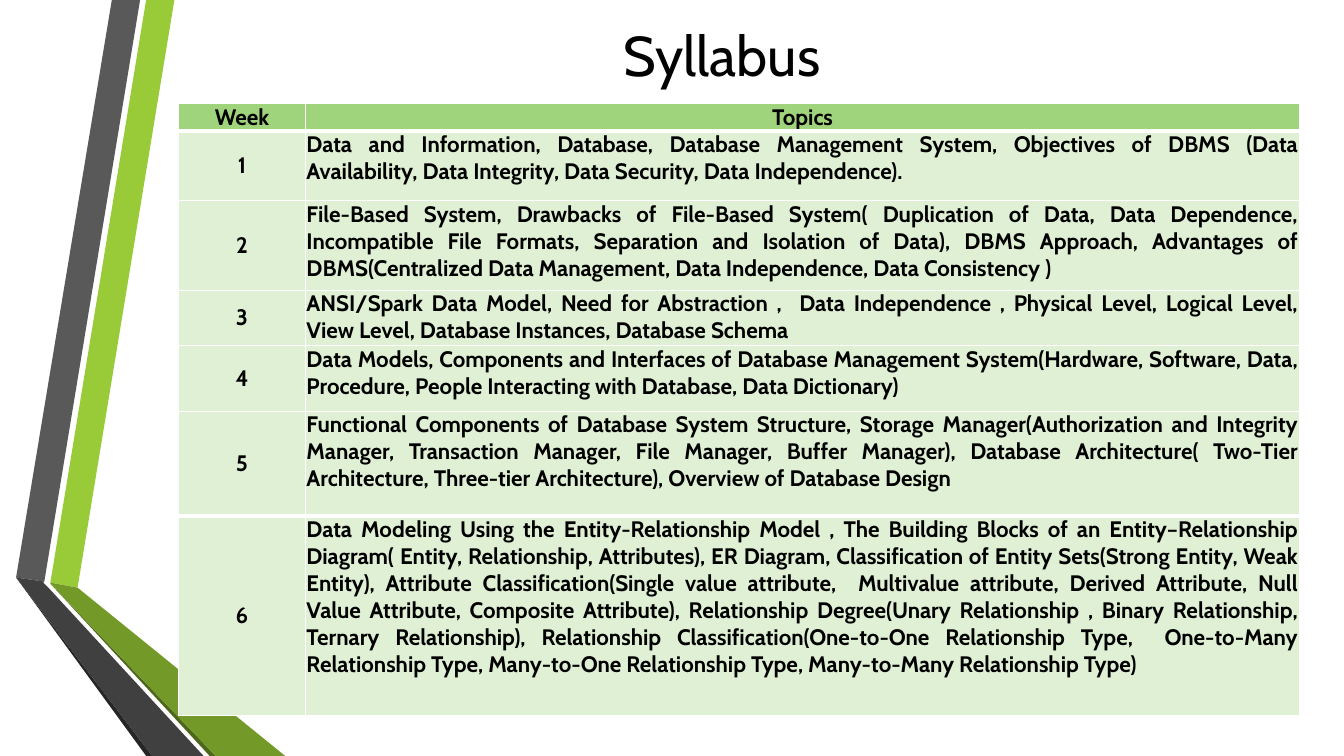
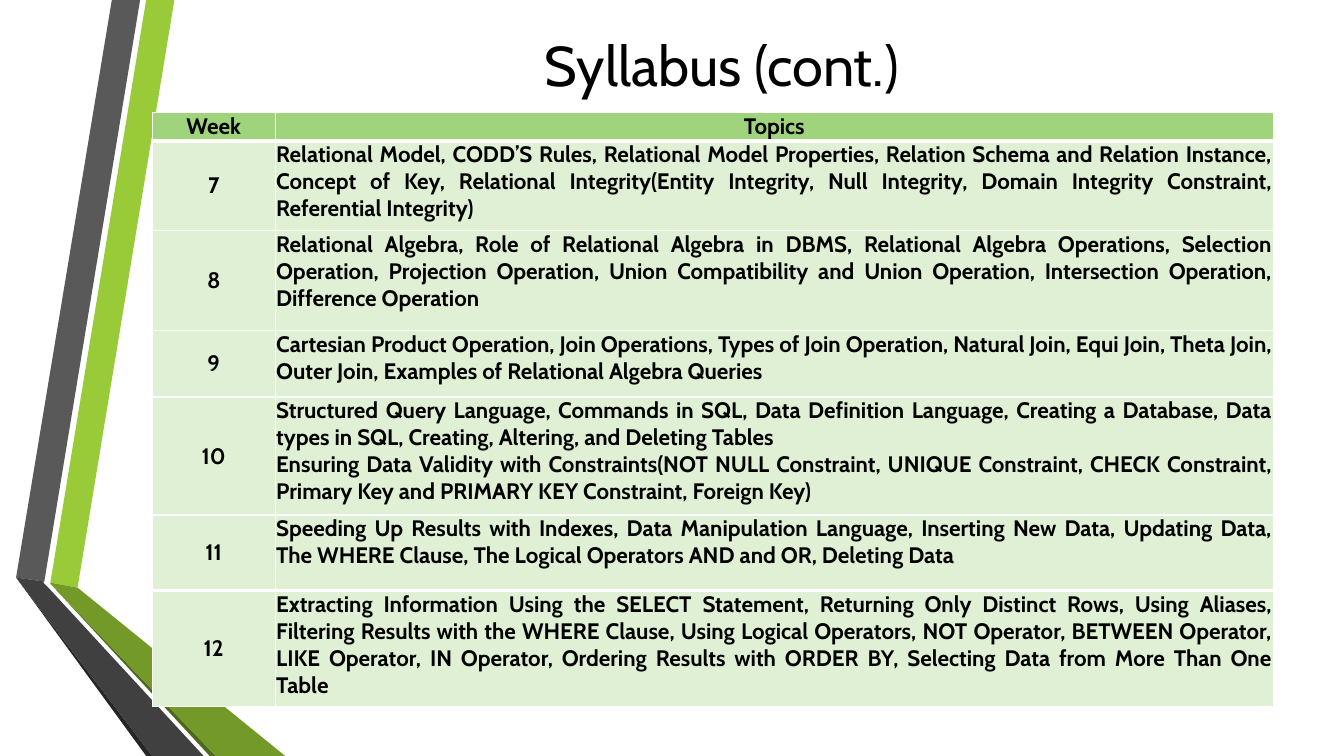
"""Build two syllabus slides: a week-by-week table beside a green and grey ribbon."""
import pptx
import pptx.dml.color
import pptx.enum.text
import pptx.oxml
import pptx.oxml.ns
import pptx.util

Inches = pptx.util.Inches
Align = pptx.enum.text.PP_ALIGN
Anchor = pptx.enum.text.MSO_ANCHOR

FONT = "Cabin"
COLORS = {
    "text": "000000",
    "border": "FFFFFF",
    "header": "9FD47D",
    "row": "DFF0D4",
    "lime": "99CB38",
    "grey": "595959",
    "grey edge": "262626",
    "green edge": "4D671B",
    "green": "739A28",
    "dark grey": "404040",
}
RIBBONS = [
    ("lime", [(0.5, 5.78), (0.77, 5.83), (1.73, 0), (1.45, 0)]),
    ("grey", [(1.39, 0), (1.11, 0), (0.16, 5.73), (0.44, 5.77)]),
    ("grey edge", [(0.16, 5.73), (1.45, 7.5), (1.51, 7.5)]),
    ("green edge", [(0.5, 5.79), (2.08, 7.5), (2.14, 7.5)]),
    ("green", [(0.5, 5.79), (2.14, 7.5), (2.83, 7.5), (0.77, 5.83), (0.5, 5.78)]),
    ("dark grey", [(2.02, 7.5), (0.48, 5.83), (0.43, 5.78), (0.44, 5.77), (0.16, 5.73), (1.51, 7.5)]),
]
SYLLABUS = [
    {
        "title": "Syllabus",
        "title_height": 0.78,
        "table_at": (1.77, 1.03),
        "columns": [1.26, 9.86],
        "rows": [0.27, 0.69, 0.89, 0.55, 0.65, 1.04, 1.98],
        "first_week": 1,
        "topics": [
            "Data and Information, Database, Database Management System, Objectives of DBMS "
            "(Data Availability, Data Integrity, Data Security, Data Independence).",
            "File-Based System, Drawbacks of File-Based System( Duplication of Data, Data Dependence, "
            "Incompatible File Formats, Separation and Isolation of Data), DBMS Approach, Advantages of "
            "DBMS(Centralized Data Management, Data Independence, Data Consistency )",
            "ANSI/Spark Data Model, Need for Abstraction ,  Data Independence , Physical Level, "
            "Logical Level, View Level, Database Instances, Database Schema",
            "Data Models, Components and Interfaces of Database Management System(Hardware, Software, "
            "Data, Procedure, People Interacting with Database, Data Dictionary)",
            "Functional Components of Database System Structure, Storage Manager(Authorization and "
            "Integrity Manager, Transaction Manager, File Manager, Buffer Manager), Database Architecture( "
            "Two-Tier Architecture, Three-tier Architecture), Overview of Database Design",
            "Data Modeling Using the Entity-Relationship Model , The Building Blocks of an "
            "Entity–Relationship Diagram( Entity, Relationship, Attributes), ER Diagram, Classification of "
            "Entity Sets(Strong Entity, Weak Entity), Attribute Classification(Single value attribute,  "
            "Multivalue attribute, Derived Attribute, Null Value Attribute, Composite Attribute), "
            "Relationship Degree(Unary Relationship , Binary Relationship, Ternary Relationship), "
            "Relationship Classification(One-to-One Relationship Type,  One-to-Many Relationship Type, "
            "Many-to-One Relationship Type, Many-to-Many Relationship Type)",
        ],
    },
    {
        "title": "Syllabus (cont.)",
        "title_height": 0.97,
        "table_at": (1.51, 1.12),
        "columns": [1.22, 9.9],
        "rows": [0.28, 0.89, 0.99, 0.66, 1.17, 0.75, 1.15],
        "first_week": 7,
        "topics": [
            "Relational Model, CODD’S Rules, Relational Model Properties, Relation Schema and Relation "
            "Instance, Concept of Key, Relational Integrity(Entity Integrity, Null Integrity, Domain "
            "Integrity Constraint, Referential Integrity)",
            "Relational Algebra, Role of Relational Algebra in DBMS, Relational Algebra Operations, "
            "Selection Operation, Projection Operation, Union Compatibility and Union Operation, "
            "Intersection Operation, Difference Operation",
            "Cartesian Product Operation, Join Operations, Types of Join Operation, Natural Join, "
            "Equi Join, Theta Join, Outer Join, Examples of Relational Algebra Queries",
            "Structured Query Language, Commands in SQL, Data Definition Language, Creating a Database, "
            "Data types in SQL, Creating, Altering, and Deleting Tables\n"
            "Ensuring Data Validity with Constraints(NOT NULL Constraint, UNIQUE Constraint, CHECK "
            "Constraint, Primary Key and PRIMARY KEY Constraint, Foreign Key)",
            "Speeding Up Results with Indexes, Data Manipulation Language, Inserting New Data, Updating "
            "Data, The WHERE Clause, The Logical Operators AND and OR, Deleting Data",
            "Extracting Information Using the SELECT Statement, Returning Only Distinct Rows, Using "
            "Aliases, Filtering Results with the WHERE Clause, Using Logical Operators, NOT Operator, "
            "BETWEEN Operator, LIKE Operator, IN Operator, Ordering Results with ORDER BY, Selecting "
            "Data from More Than One Table",
        ],
    },
]


def write(frame, text, size=16, bold=True, align=Align.CENTER):
    frame.word_wrap = True
    frame.text = text
    for paragraph in frame.paragraphs:
        paragraph.alignment = align
        paragraph.font.name = FONT
        paragraph.font.size = pptx.util.Pt(size)
        paragraph.font.bold = bold
        paragraph.font.color.rgb = pptx.dml.color.RGBColor.from_string(COLORS["text"])


def add_border(cell, side, points):
    cell._tc.get_or_add_tcPr().append(pptx.oxml.parse_xml(
        f'<a:ln{side} {pptx.oxml.ns.nsdecls("a")} w="{pptx.util.Pt(points)}"><a:solidFill>'
        f'<a:srgbClr val="{COLORS["border"]}"/></a:solidFill></a:ln{side}>'))


deck = pptx.Presentation()
deck.slide_width, deck.slide_height = Inches(13.33), Inches(7.5)

for part in SYLLABUS:
    slide = deck.slides.add_slide(deck.slide_layouts[6])

    for color, points in RIBBONS:
        corners = [(Inches(x), Inches(y)) for x, y in points]
        outline = slide.shapes.build_freeform(*corners[0])
        outline.add_line_segments(corners[1:], close=True)
        ribbon = outline.convert_to_shape()
        ribbon.shadow.inherit = False
        ribbon.fill.solid()
        ribbon.fill.fore_color.rgb = pptx.dml.color.RGBColor.from_string(COLORS[color])
        ribbon.line.fill.background()

    title = slide.shapes.add_textbox(Inches(1.68), Inches(0.15), Inches(10.96), Inches(part["title_height"]))
    title.text_frame.vertical_anchor = Anchor.MIDDLE
    write(title.text_frame, part["title"], size=40, bold=False)

    weeks = [(str(week), topic) for week, topic in enumerate(part["topics"], part["first_week"])]
    entries = [("Week", "Topics")] + weeks
    left, top = part["table_at"]
    schedule = slide.shapes.add_table(
        len(entries), 2, Inches(left), Inches(top),
        Inches(sum(part["columns"])), Inches(sum(part["rows"]))).table
    for column, width in zip(schedule.columns, part["columns"]):
        column.width = Inches(width)

    last = len(entries) - 1
    for r, entry in enumerate(entries):
        schedule.rows[r].height = Inches(part["rows"][r])
        for c, text in enumerate(entry):
            cell = schedule.cell(r, c)
            cell.margin_left = cell.margin_right = Inches(0.01)
            cell.margin_top = cell.margin_bottom = 0
            is_topic = r > 0 and c == 1
            is_week = r > 0 and c == 0
            cell.vertical_anchor = Anchor.MIDDLE if is_week else Anchor.TOP
            write(cell.text_frame, text, align=Align.JUSTIFY if is_topic else Align.CENTER)
            add_border(cell, "L", 1)
            add_border(cell, "R", 1)
            add_border(cell, "T", 3 if r in (1, last) else 1)
            add_border(cell, "B", 3 if r in (0, last - 1) else 1)
            cell.fill.solid()
            cell.fill.fore_color.rgb = pptx.dml.color.RGBColor.from_string(COLORS["row" if r else "header"])

deck.save("out.pptx")
